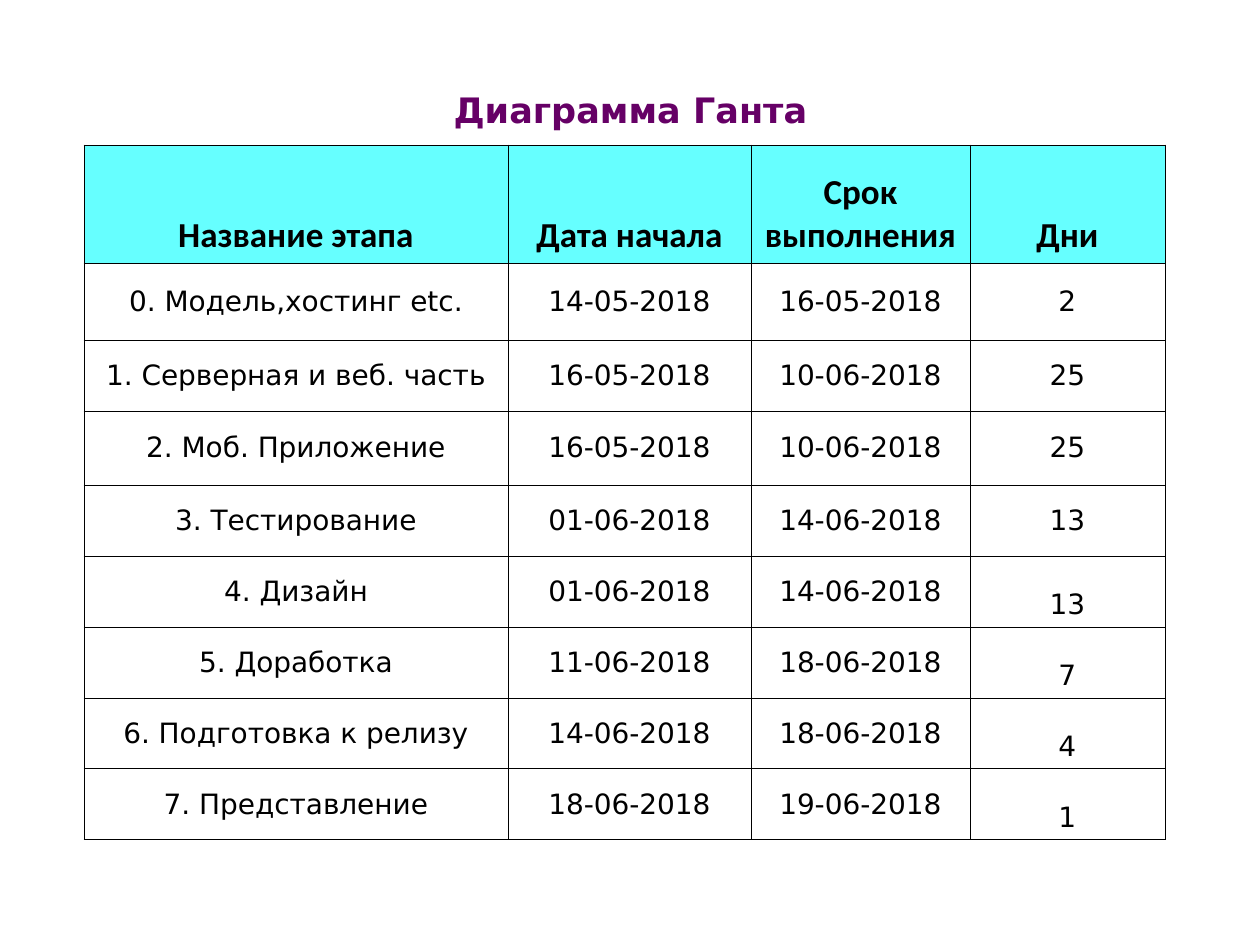
from dataclasses import dataclass

from lxml import etree
from pptx import Presentation
from pptx import util as u
from pptx.dml.color import RGBColor
from pptx.enum import text
from pptx.oxml import ns


@dataclass(frozen=True)
class Theme:
    title: str = "660066"
    ink: str = "000000"
    head_fill: str = "66FFFF"
    body_fill: str = "FFFFFF"
    font: str = "DejaVu Sans"
    head_font: str = "Calibri"
    head_size: int = 20
    body_size: int = 16
    border: float = 0.45


HEADERS = ["Название этапа", "Дата начала", "Срок выполнения", "Дни"]
STAGES = [
    ["0. Модель,хостинг etc.", "14-05-2018", "16-05-2018", "2"],
    ["1. Серверная и веб. часть", "16-05-2018", "10-06-2018", "25"],
    ["2. Моб. Приложение", "16-05-2018", "10-06-2018", "25"],
    ["3. Тестирование", "01-06-2018", "14-06-2018", "13"],
    ["4. Дизайн", "01-06-2018", "14-06-2018", "13"],
    ["5. Доработка", "11-06-2018", "18-06-2018", "7"],
    ["6. Подготовка к релизу", "14-06-2018", "18-06-2018", "4"],
    ["7. Представление", "18-06-2018", "19-06-2018", "1"],
]
COL_WIDTHS = [424, 243, 219, 195]
ROW_HEIGHTS = [118, 77, 71, 74] + [71] * 5
FIRST_LOW_DAYS_ROW = 5


def px(n):
    return u.Inches(n / 126)


class Deck:
    def __init__(self, theme):
        self.theme = theme
        self.prs = Presentation()
        self.prs.slide_width, self.prs.slide_height = px(1260), px(945)
        self.s = self.prs.slides.add_slide(self.prs.slide_layouts[5])

    def label(self, tf, content, font, size, color, bold):
        p = tf.paragraphs[0]
        p.text = content
        p.alignment = text.PP_ALIGN.CENTER
        p.font.name, p.font.size, p.font.bold = font, u.Pt(size), bold
        p.font.color.rgb = RGBColor.from_string(color)

    def title(self, content, x, y, w, h):
        t, sp = self.theme, self.s.shapes.title
        sp.left, sp.top, sp.width, sp.height = map(px, (x, y, w, h))
        tf = sp.text_frame
        tf.auto_size = text.MSO_AUTO_SIZE.NONE
        tf.vertical_anchor = text.MSO_ANCHOR.MIDDLE
        self.label(tf, content, t.font, t.head_size, t.title, True)

    def cell(self, cell, content, head, low):
        t = self.theme
        font, size, fill = (
            (t.head_font, t.head_size, t.head_fill) if head
            else (t.font, t.body_size, t.body_fill)
        )
        self.label(cell.text_frame, content, font, size, t.ink, head)
        cell.vertical_anchor = text.MSO_ANCHOR.BOTTOM if low else text.MSO_ANCHOR.MIDDLE
        cell.fill.solid()
        cell.fill.fore_color.rgb = RGBColor.from_string(fill)
        self.borders(cell)

    def borders(self, cell):
        tc_pr = cell._tc.get_or_add_tcPr()
        for i, side in enumerate(("lnL", "lnR", "lnT", "lnB")):
            ln = etree.Element(ns.qn(f"a:{side}"), w=str(u.Pt(self.theme.border)))
            fill = etree.SubElement(ln, ns.qn("a:solidFill"))
            etree.SubElement(fill, ns.qn("a:srgbClr"), val=self.theme.ink)
            tc_pr.insert(i, ln)

    def table(self, rows, x, y, widths, heights):
        size = map(px, (x, y, sum(widths), sum(heights)))
        table = self.s.shapes.add_table(len(rows), len(widths), *size).table
        for col, width in zip(table.columns, widths):
            col.width = px(width)
        for r, (row, height) in enumerate(zip(rows, heights)):
            table.rows[r].height = px(height)
            for c, content in enumerate(row):
                low_days = r >= FIRST_LOW_DAYS_ROW and c == len(widths) - 1
                self.cell(table.cell(r, c), content, r == 0, r == 0 or low_days)


def main():
    deck = Deck(Theme())
    deck.title("Диаграмма Ганта", 95, 84, 1071, 52)
    deck.table([HEADERS] + STAGES, 84, 145, COL_WIDTHS, ROW_HEIGHTS)
    deck.prs.save("out.pptx")


if __name__ == "__main__":
    main()
